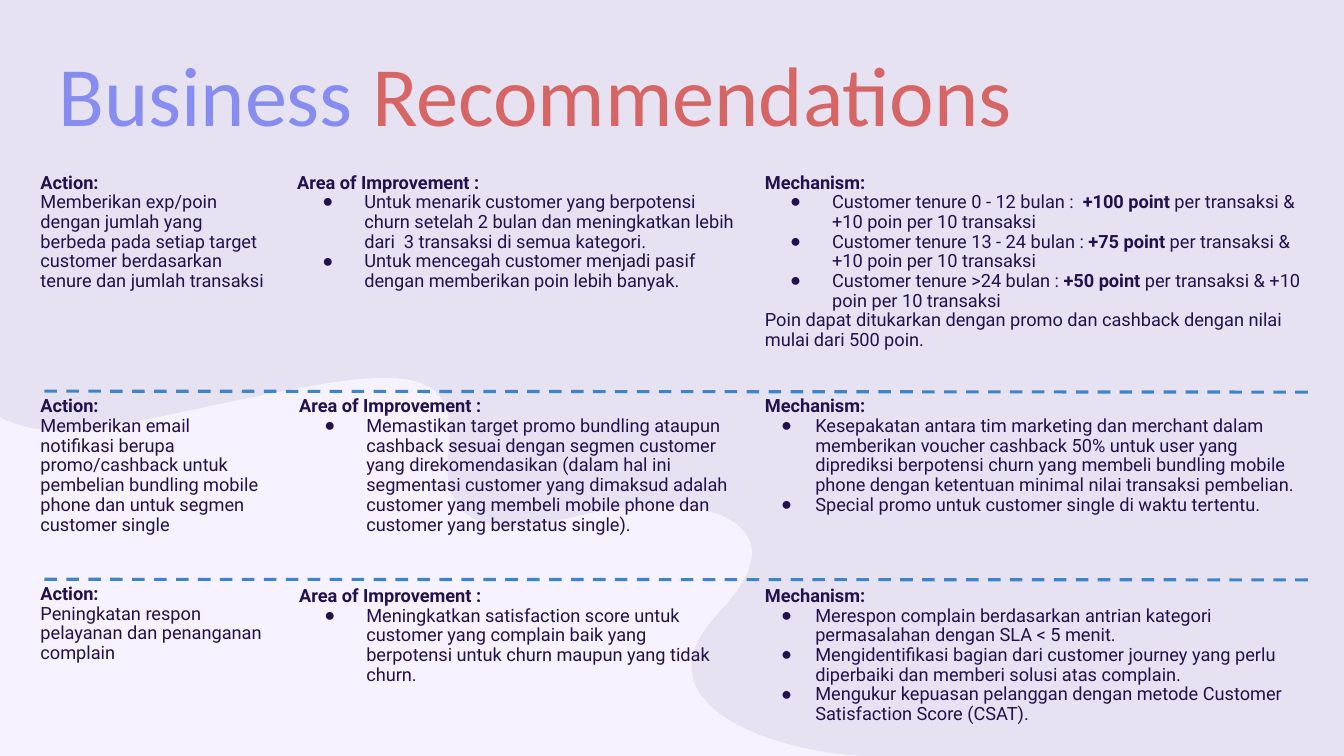
from lxml import etree
from pptx import Presentation
from pptx.dml.color import RGBColor
from pptx.enum.dml import MSO_LINE
from pptx.enum.shapes import MSO_CONNECTOR
from pptx.enum.text import MSO_ANCHOR
from pptx.oxml.ns import qn
from pptx.util import Pt

STRAIGHT = MSO_CONNECTOR.STRAIGHT
DASH = MSO_LINE.DASH
TOP = MSO_ANCHOR.TOP

LAVENDER = RGBColor(0xE7, 0xE2, 0xF2)
PALE = RGBColor(0xF6, 0xF2, 0xFF)
PERIWINKLE = RGBColor(0x87, 0x8C, 0xF0)
CORAL = RGBColor(0xD6, 0x65, 0x65)
NAVY = RGBColor(0x20, 0x12, 0x4D)
BLUE = RGBColor(0x3D, 0x85, 0xC6)

WIDE_INDENT = (48, 30)
NARROW_INDENT = (36, 24.5)
ACTION = ("Action:", 21.8, 176)
MECHANISM = ("Mechanism:", 539.3, 409.7)
IMPROVEMENT_LEFT = 206.6
BOLD_MARK = "*"

WAVE_START = (-59, 25.9)
WAVE_EDGE = [(622, 540), (-59, 540)]
WAVE_CURVES = [
    ((-59, 25.9), (20.9, 63.4), (-8.6, 147.6)),
    ((-31, 210.2), (-67.7, 334.8), (91.4, 302.4)),
    ((253.4, 269.3), (329.8, 243.4), (320.4, 319.7)),
    ((311.8, 391), (372.2, 378), (419, 367.2)),
    ((455.8, 358.6), (519.8, 355), (535, 385.2)),
    ((540.7, 396.7), (535.7, 414), (512.6, 438.5)),
    ((448.6, 506.9), (564.5, 540), (622, 540)),
]

ROWS = [
    {
        "tops": (116.6, 116.6, 116.6),
        "heights": (141.8, 128.2, 141.8),
        "improvement_left": 205.2,
        "indent": WIDE_INDENT,
        "action": "Memberikan exp/poin dengan jumlah yang berbeda pada setiap target "
                  "customer berdasarkan tenure dan jumlah transaksi",
        "improvements": [
            "Untuk menarik customer yang berpotensi churn setelah 2 bulan dan "
            "meningkatkan lebih dari  3 transaksi di semua kategori.",
            "Untuk mencegah customer menjadi pasif dengan memberikan poin lebih banyak.",
        ],
        "mechanisms": [
            "Customer tenure 0 - 12 bulan :  *+100 point* per transaksi & +10 poin per 10 transaksi",
            "Customer tenure 13 - 24 bulan : *+75 point* per transaksi & +10 poin per 10 transaksi",
            "Customer tenure >24 bulan : *+50 point* per transaksi & +10 poin per 10 transaksi",
        ],
        "closing": "Poin dapat ditukarkan dengan promo dan cashback dengan nilai "
                   "mulai dari 500 poin.",
    },
    {
        "tops": (276.5, 276.5, 276.5),
        "heights": (113.8, 113.8, 99.4),
        "improvement_left": IMPROVEMENT_LEFT,
        "indent": NARROW_INDENT,
        "action": "Memberikan email notifikasi berupa promo/cashback untuk pembelian "
                  "bundling mobile phone dan untuk segmen customer single",
        "improvements": [
            "Memastikan target promo bundling ataupun cashback sesuai dengan segmen "
            "customer yang direkomendasikan (dalam hal ini segmentasi customer yang "
            "dimaksud adalah customer yang membeli mobile phone dan customer yang "
            "berstatus single).",
        ],
        "mechanisms": [
            "Kesepakatan antara tim marketing dan merchant dalam memberikan voucher "
            "cashback 50% untuk user yang diprediksi berpotensi churn yang membeli "
            "bundling mobile phone dengan ketentuan minimal nilai transaksi pembelian.",
            "Special promo untuk customer single di waktu tertentu.",
        ],
        "closing": None,
    },
    {
        "tops": (410.4, 411.8, 411.8),
        "heights": (71.3, 85.7, 113.8),
        "improvement_left": IMPROVEMENT_LEFT,
        "indent": NARROW_INDENT,
        "action": "Peningkatan respon pelayanan dan penanganan complain",
        "improvements": [
            "Meningkatkan satisfaction score untuk customer yang complain baik yang "
            "berpotensi untuk churn maupun yang tidak churn.",
        ],
        "mechanisms": [
            "Merespon complain berdasarkan antrian kategori permasalahan dengan SLA < 5 menit.",
            "Mengidentifikasi bagian dari customer journey yang perlu diperbaiki dan "
            "memberi solusi atas complain.",
            "Mengukur kepuasan pelanggan dengan metode Customer Satisfaction Score (CSAT).",
        ],
        "closing": None,
    },
]


def add_box(page, left, top, width, height, margin):
    """Add a wrapping text box and return its text frame."""
    frame = page.shapes.add_textbox(Pt(left), Pt(top), Pt(width), Pt(height)).text_frame
    frame.word_wrap = True
    frame.vertical_anchor = TOP
    frame.margin_left = frame.margin_right = Pt(margin)
    frame.margin_top = frame.margin_bottom = Pt(margin)
    return frame


def add_span(para, text, *, size=13, font="Roboto", color=NAVY, bold=False):
    """Add one formatted run to a paragraph."""
    span = para.add_run()
    span.text = text
    span.font.size = Pt(size)
    span.font.name = font
    span.font.color.rgb = color
    span.font.bold = bold


def add_bullet(para, indent):
    """Give a paragraph a hanging round bullet."""
    left, hanging = indent
    properties = para._p.get_or_add_pPr()
    properties.set("marL", str(Pt(left)))
    properties.set("indent", str(-Pt(hanging)))
    color = etree.SubElement(properties, qn("a:buClr"))
    etree.SubElement(color, qn("a:srgbClr"), val=str(NAVY))
    etree.SubElement(properties, qn("a:buFont"), typeface="Arial")
    etree.SubElement(properties, qn("a:buChar"), char="●")


def add_body(frame, text, indent=None):
    """Append a paragraph whose marked parts are bold."""
    para = frame.add_paragraph()
    if indent:
        add_bullet(para, indent)
    para.line_spacing = 0.9
    for index, part in enumerate(text.split(BOLD_MARK)):
        add_span(para, part, bold=index % 2 == 1)


def add_cell(page, column, top, height, bullets=(), indent=None, plain=None):
    """Add a headed text block with bullets and a plain paragraph."""
    heading, left, width = column
    frame = add_box(page, left, top, width, height, 7.2)
    para = frame.paragraphs[0]
    para.line_spacing = 0.9
    add_span(para, heading, bold=True)
    for text in bullets:
        add_body(frame, text, indent)
    if plain:
        add_body(frame, plain)


def add_row(page, row):
    """Add the three text blocks of one recommendation."""
    improvement = ("Area of Improvement :", row["improvement_left"], 326.2)
    first, second, third = zip(row["tops"], row["heights"])
    add_cell(page, ACTION, *first, plain=row["action"])
    add_cell(page, improvement, *second, row["improvements"], WIDE_INDENT)
    add_cell(page, MECHANISM, *third, row["mechanisms"], row["indent"], row["closing"])


def add_wave(page):
    """Draw the pale wave, turning each three segments into one curve."""
    points = [point for curve in WAVE_CURVES for point in curve] + WAVE_EDGE[1:]
    builder = page.shapes.build_freeform(Pt(WAVE_START[0]), Pt(WAVE_START[1]))
    builder.add_line_segments([(Pt(x), Pt(y)) for x, y in points], close=True)
    wave = builder.convert_to_shape()
    segments = list(wave._element.iter(qn("a:lnTo")))
    for index in range(len(WAVE_CURVES)):
        trio = segments[3 * index:3 * index + 3]
        curve = etree.Element(qn("a:cubicBezTo"))
        trio[0].addprevious(curve)
        for segment in trio:
            curve.append(segment[0])
            segment.getparent().remove(segment)
    wave.shadow.inherit = False
    wave.fill.solid()
    wave.fill.fore_color.rgb = PALE
    wave.line.fill.background()


def add_divider(page, start, end):
    """Draw a dashed line across the slide between two heights."""
    line = page.shapes.add_connector(STRAIGHT, Pt(31.7), Pt(start), Pt(936.7), Pt(end))
    line.line.color.rgb = BLUE
    line.line.width = Pt(2.25)
    line.line.dash_style = DASH
    etree.SubElement(line._element.spPr, qn("a:effectLst"))


def main():
    """Build and save the slide."""
    deck = Presentation()
    deck.slide_width, deck.slide_height = Pt(960), Pt(540)
    page = deck.slides.add_slide(deck.slide_layouts[6])
    page.background.fill.solid()
    page.background.fill.fore_color.rgb = LAVENDER
    add_wave(page)
    title = add_box(page, 32, 34.6, 881.3, 59.8, 9.6).paragraphs[0]
    title.line_spacing = 0.8
    for text, color in (("Business ", PERIWINKLE), ("Recommendations", CORAL)):
        add_span(title, text, size=60.3, font="Calibri", color=color)
    for row in ROWS:
        add_row(page, row)
    add_divider(page, 279.4, 280.1)
    add_divider(page, 413.8, 414.2)
    deck.save("out.pptx")


if __name__ == "__main__":
    main()
